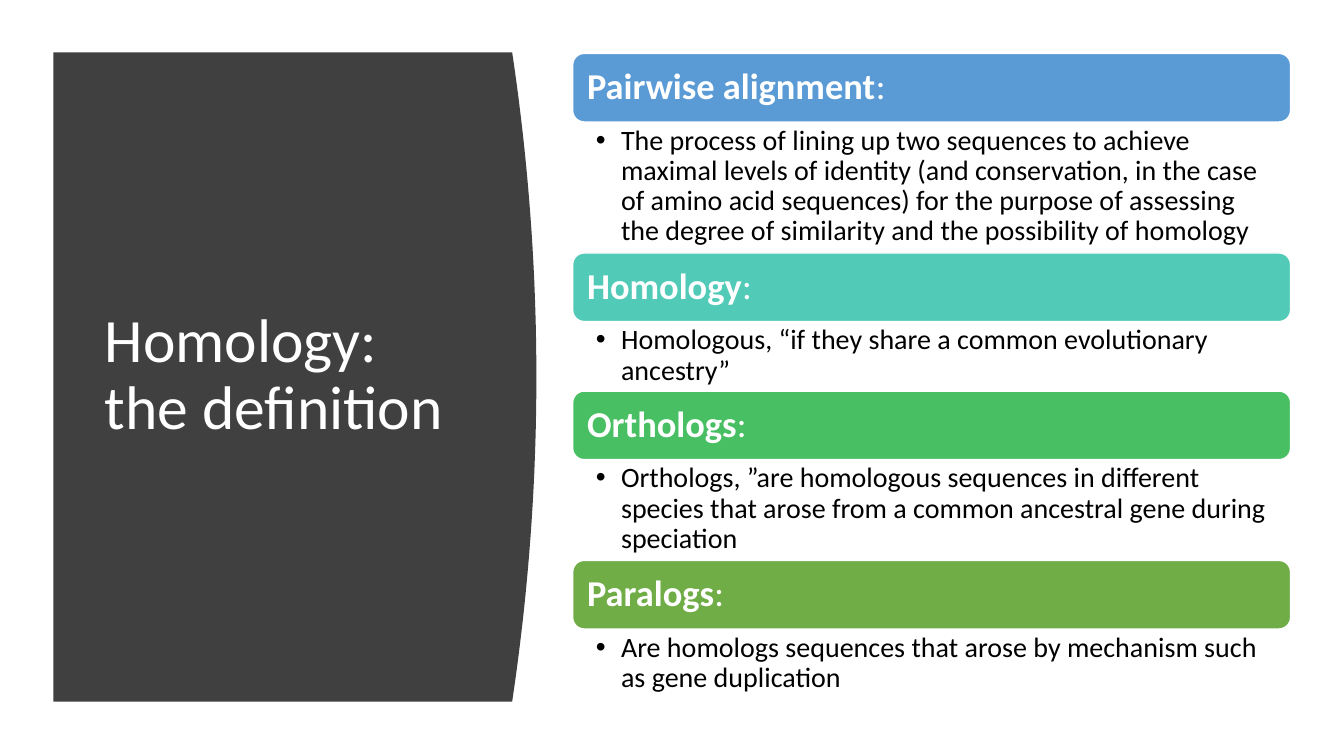
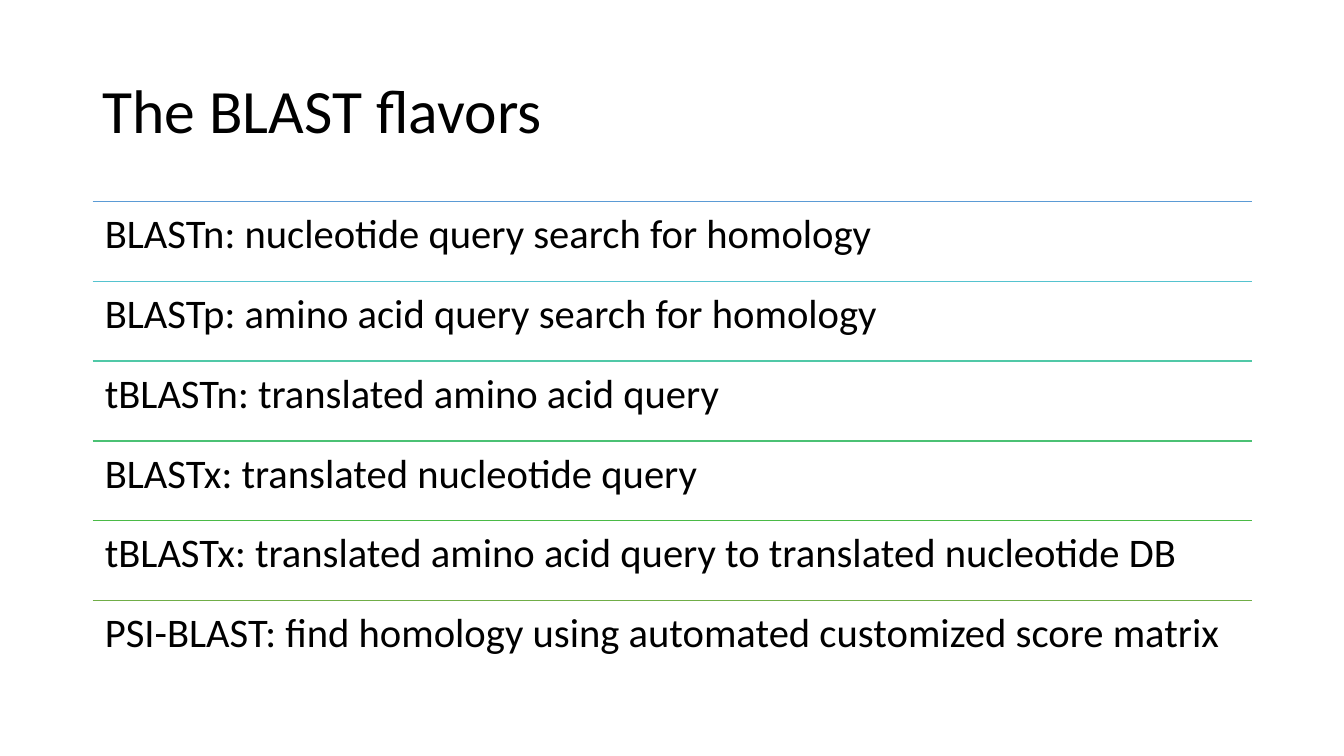
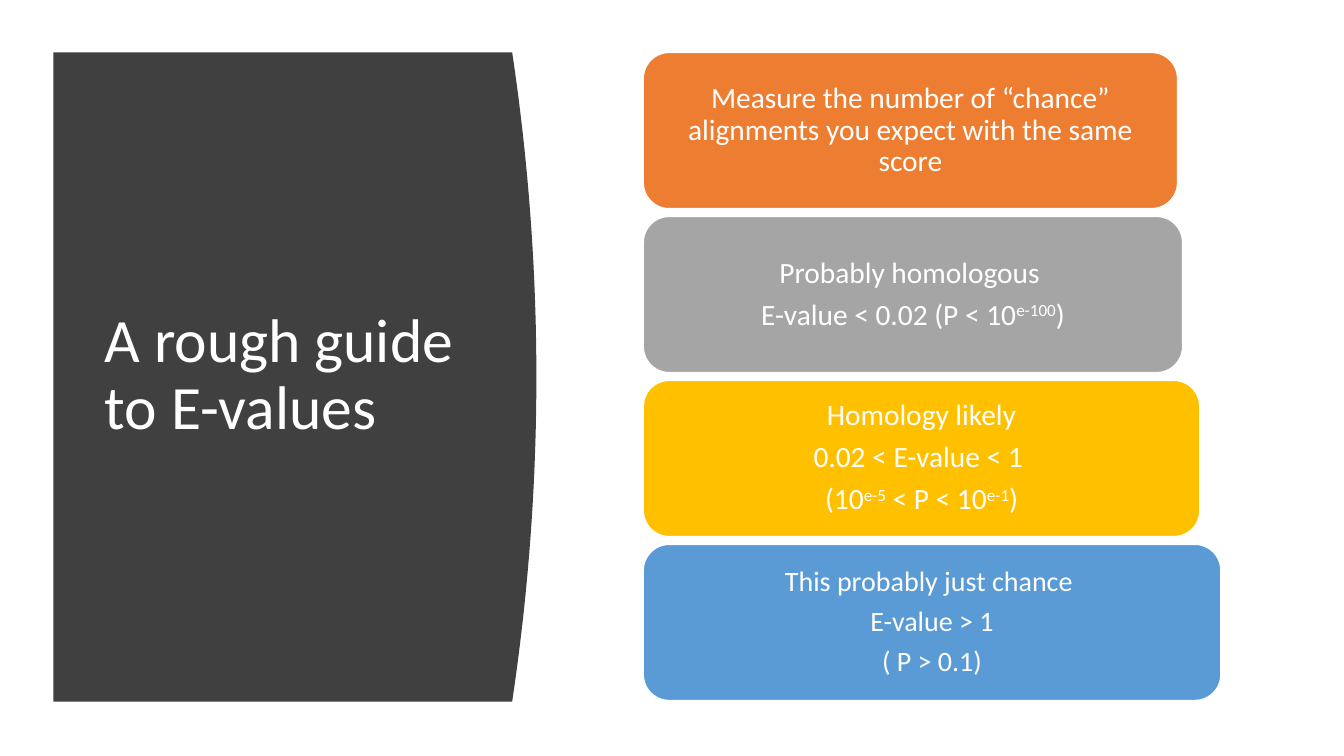
from lxml.etree import SubElement
from pptx import Presentation
from pptx.dml.color import RGBColor
from pptx.enum.shapes import MSO_CONNECTOR, MSO_SHAPE
from pptx.enum.text import MSO_ANCHOR, PP_ALIGN
from pptx.oxml.ns import qn
from pptx.util import Inches, Pt

WIDTH, HEIGHT = 13.33, 7.5
FONT = "Calibri"
WHITE, BLACK, CHARCOAL = "FFFFFF", "000000", "404040"
BLUE, GREEN = "5B9BD5", "70AD47"
PANEL = dict(left=0.53, top=0.52, bottom=6.96, edge=5.08, bulge=0.24, steps=40)

# Term, colour, height of its definition, definition
DEFINITIONS = [
    ("Pairwise alignment", BLUE, 1.3,
     "The process of lining up two sequences to achieve maximal levels of identity "
     "(and conservation, in the case of amino acid sequences) for the purpose of "
     "assessing the degree of similarity and the possibility of homology"),
    ("Homology", "52CAB8", 0.69,
     "Homologous, “if they share a common evolutionary ancestry”"),
    ("Orthologs", "49BF64", 1.0,
     "Orthologs, ”are homologous sequences in different species that arose from a "
     "common ancestral gene during speciation"),
    ("Paralogs", GREEN, 0.69,
     "Are homologs sequences that arose by mechanism such as gene duplication"),
]

FLAVORS = [
    ("BLASTn: nucleotide query search for homology", BLUE),
    ("BLASTp: amino acid query search for homology", "55C3CF"),
    ("tBLASTn: translated amino acid query", "50C8A7"),
    ("BLASTx: translated nucleotide query", "4BC174"),
    ("tBLASTx: translated amino acid query to translated nucleotide DB", "4ABA46"),
    ("PSI-BLAST: find homology using automated customized score matrix", GREEN),
]

# Colour, width, text size, paragraphs; a tuple run carries a style
E_VALUES = [
    ("ED7D31", 5.3, 21,
     ["Measure the number of “chance” alignments you expect with the same score"]),
    ("A5A5A5", 5.35, 21,
     ["Probably homologous ",
      ["E-value < 0.02 (P < 10", ("e-100", "super"), ")"]]),
    ("FFC000", 5.52, 21,
     ["Homology likely",
      "0.02 < E-value < 1 ",
      ["(10", ("e-5", "super"), " < P < 10", ("e-1", "super"), ")"]]),
    (BLUE, 5.73, 20,
     ["This probably just chance ", "E-value > 1", "( P > 0.1)"]),
]


def rgb(color):
    return RGBColor.from_string(color)


def add_bullet(paragraph, indent=0.25):
    props = paragraph._p.get_or_add_pPr()
    props.set("marL", str(Inches(indent)))
    props.set("indent", str(-Inches(indent)))
    SubElement(props, qn("a:buFont"), typeface="Arial")
    SubElement(props, qn("a:buChar"), char="•")


def write(shape, paragraphs, size, color=BLACK, insets=(0.1, 0.05, 0.1, 0.05),
          anchor=MSO_ANCHOR.TOP, align=PP_ALIGN.LEFT, after=0, bullet=False):
    """Fill a shape with paragraphs; after is a share of the text size."""
    frame = shape.text_frame
    frame.word_wrap = True
    frame.vertical_anchor = anchor
    (frame.margin_left, frame.margin_top,
     frame.margin_right, frame.margin_bottom) = map(Inches, insets)
    for i, runs in enumerate(paragraphs):
        paragraph = frame.add_paragraph() if i else frame.paragraphs[0]
        if bullet:
            add_bullet(paragraph)
        paragraph.alignment = align
        paragraph.line_spacing = 0.9
        paragraph.space_after = Pt(size * after)
        for part in [runs] if isinstance(runs, str) else runs:
            words, style = (part, "") if isinstance(part, str) else part
            run = paragraph.add_run()
            run.text = words
            run.font.name = FONT
            run.font.size = Pt(size)
            run.font.bold = style == "bold"
            run.font.color.rgb = rgb(color)
            if style == "super":
                run._r.get_or_add_rPr().set("baseline", "30000")


def add_text(slide, box, paragraphs, size, **style):
    write(slide.shapes.add_textbox(*map(Inches, box)), paragraphs, size, **style)


def add_card(slide, box, fill, paragraphs, size, **style):
    card = slide.shapes.add_shape(MSO_SHAPE.ROUNDED_RECTANGLE, *map(Inches, box))
    card.shadow.inherit = False
    card.fill.solid()
    card.fill.fore_color.rgb = rgb(fill)
    card.line.color.rgb = rgb(WHITE)
    card.line.width = Pt(1)
    write(card, paragraphs, size, color=WHITE, anchor=MSO_ANCHOR.MIDDLE,
          after=0.35, **style)


def add_rule(slide, left, right, y, color):
    rule = slide.shapes.add_connector(
        MSO_CONNECTOR.STRAIGHT, *map(Inches, (left, y, right, y)))
    rule.line.color.rgb = rgb(color)
    rule.line.width = Pt(1)
    SubElement(rule._element.spPr, qn("a:effectLst"))


def add_title(slide, title, box, color=BLACK):
    add_text(slide, box, [title], 44, color=color, anchor=MSO_ANCHOR.MIDDLE)


def add_title_panel(slide, title):
    """Dark panel whose right edge bows outwards, with the title on it."""
    left, top, bottom = PANEL["left"], PANEL["top"], PANEL["bottom"]
    edge = []
    for step in range(PANEL["steps"] + 1):
        share = step / PANEL["steps"]
        bow = 1 - (2 * share - 1) ** 2
        edge.append((Inches(PANEL["edge"] + PANEL["bulge"] * bow),
                     Inches(top + (bottom - top) * share)))
    outline = slide.shapes.build_freeform(Inches(left), Inches(top))
    outline.add_line_segments(edge + [(Inches(left), Inches(bottom))], close=True)
    panel = outline.convert_to_shape()
    panel.shadow.inherit = False
    panel.fill.solid()
    panel.fill.fore_color.rgb = rgb(CHARCOAL)
    panel.line.fill.background()
    add_title(slide, title, (0.94, 1.11, 3.74, 5.24), WHITE)


def build_definitions(slide):
    add_title_panel(slide, "Homology: the definition")
    left, width, head = 5.68, 7.12, 0.68
    y = 0.53
    for term, color, body, definition in DEFINITIONS:
        add_card(slide, (left, y, width, head), color, [[(term, "bold"), ":"]], 26,
                 insets=(0.11,) * 4)
        add_text(slide, (left, y + head, width, body), [definition], 20,
                 insets=(0.23, 0.04, 0.2, 0.04), after=0.2, bullet=True)
        y += head + body


def build_flavors(slide):
    left, width, top, bottom = 0.92, 11.5, 2, 6.75
    add_title(slide, "The BLAST flavors", (left, 0.4, width, 1.45))
    row = (bottom - top) / len(FLAVORS)
    for i, (flavor, color) in enumerate(FLAVORS):
        y = top + i * row
        add_rule(slide, left, left + width, y, color)
        add_text(slide, (left, y, width, row), [flavor], 29,
                 insets=(0.12,) * 4, after=0.35)


def build_e_values(slide):
    add_title_panel(slide, "A rough guide to E-values")
    left, top, bottom, height = 6.38, 0.52, 6.95, 1.55
    pitch = (bottom - top - height) / (len(E_VALUES) - 1)
    for i, (color, width, size, paragraphs) in enumerate(E_VALUES):
        add_card(slide, (left, top + i * pitch, width, height), color, paragraphs, size,
                 insets=(0.09, 0.04, 0.09, 0.04), align=PP_ALIGN.CENTER)


def main():
    deck = Presentation()
    deck.slide_width, deck.slide_height = Inches(WIDTH), Inches(HEIGHT)
    for build in (build_definitions, build_flavors, build_e_values):
        build(deck.slides.add_slide(deck.slide_layouts[6]))
    deck.save("out.pptx")


if __name__ == "__main__":
    main()
